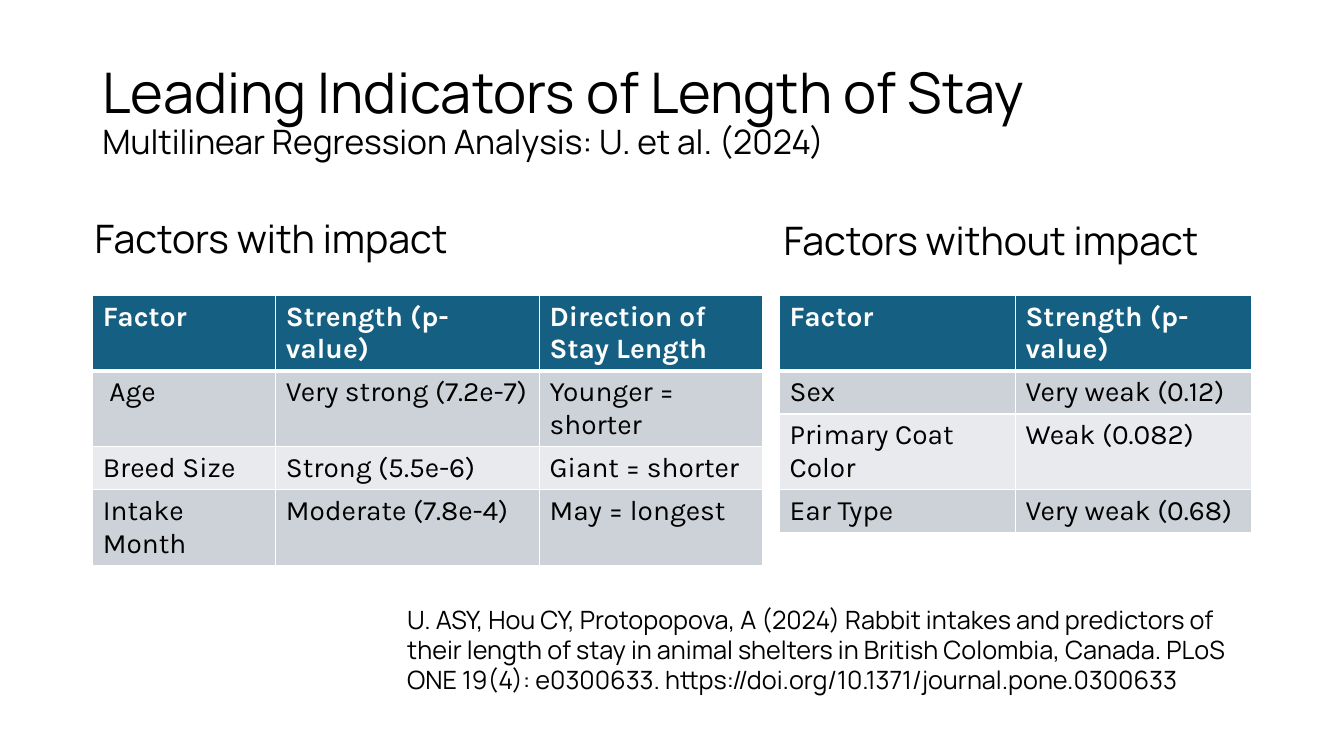
from lxml.etree import SubElement
from pptx import Presentation
from pptx.dml.color import RGBColor
from pptx.enum.text import MSO_ANCHOR as Anchor, MSO_AUTO_SIZE as AutoSize
from pptx.oxml.ns import qn
from pptx.util import Inches, Pt

BLACK = RGBColor(0x00, 0x00, 0x00)
WHITE = RGBColor(0xFF, 0xFF, 0xFF)
TEAL = RGBColor(0x15, 0x60, 0x82)
BAND_DARK = RGBColor(0xCC, 0xD2, 0xD8)
BAND_LIGHT = RGBColor(0xE8, 0xEA, 0xED)

SLIDE_WIDTH, SLIDE_HEIGHT = Inches(13.33), Inches(7.5)
COLUMNS, ROWS = 160, 90


class Page:
    text_font = "Manrope"
    table_font = "Karla"
    table_size = 20
    row_height = 4.92

    def __init__(self, deck):
        self.slide = deck.slides.add_slide(deck.slide_layouts[6])

    def across(self, columns):
        return round(SLIDE_WIDTH * columns / COLUMNS)

    def down(self, rows):
        return round(SLIDE_HEIGHT * rows / ROWS)

    def place(self, left, top, width, height):
        return self.across(left), self.down(top), self.across(width), self.down(height)

    def add_run(self, paragraph, words, font, size, color, bold=False):
        run = paragraph.add_run()
        run.text = words
        run.font.name = font
        run.font.size = Pt(size)
        run.font.color.rgb = color
        run.font.bold = bold

    def add_text(self, area, lines, anchor=Anchor.TOP, spacing=None, grow=True):
        frame = self.slide.shapes.add_textbox(*self.place(*area)).text_frame
        frame.word_wrap = True
        frame.auto_size = AutoSize.SHAPE_TO_FIT_TEXT if grow else AutoSize.NONE
        frame.vertical_anchor = anchor
        paragraph = frame.paragraphs[0]
        paragraph.line_spacing = spacing
        for index, (words, size) in enumerate(lines):
            if index:
                paragraph.add_line_break()
            self.add_run(paragraph, words, self.text_font, size, BLACK)

    def add_borders(self, cell, below):
        properties = cell._tc.get_or_add_tcPr()
        for side, points in (("L", 1), ("R", 1), ("T", 1), ("B", below)):
            line = SubElement(properties, qn(f"a:ln{side}"), w=str(Pt(points)))
            fill = SubElement(line, qn("a:solidFill"))
            SubElement(fill, qn("a:srgbClr"), val=str(WHITE))

    def add_table(self, left, top, widths, records):
        area = self.place(left, top, sum(widths), self.row_height * len(records))
        table = self.slide.shapes.add_table(len(records), len(widths), *area).table
        for column, width in zip(table.columns, widths):
            column.width = self.across(width)
        for index, record in enumerate(records):
            header = index == 0
            band = TEAL if header else (BAND_LIGHT, BAND_DARK)[index % 2]
            for cell, words in zip(table.rows[index].cells, record):
                self.add_borders(cell, 3 if header else 1)
                cell.fill.solid()
                cell.fill.fore_color.rgb = band
                self.add_run(cell.text_frame.paragraphs[0], words, self.table_font,
                             self.table_size, WHITE if header else BLACK, header)


def main():
    deck = Presentation()
    deck.slide_width, deck.slide_height = SLIDE_WIDTH, SLIDE_HEIGHT
    page = Page(deck)

    page.add_text((11, 4.8, 138, 17.4),
                  [("Leading Indicators of Length of Stay", 40),
                   ("Multilinear Regression Analysis: U. et al. (2024)", 24)],
                  Anchor.MIDDLE, 0.9, grow=False)

    table_top = 35.16
    page.add_table(11.04, table_top, (21.8, 31.4, 26.5), [
        ("Factor", "Strength (p-value)", "Direction of Stay Length"),
        (" Age", "Very strong (7.2e-7)", "Younger = shorter"),
        ("Breed Size", "Strong (5.5e-6)", "Giant = shorter"),
        ("Intake Month", "Moderate (7.8e-4)", "May = longest"),
    ])
    page.add_table(92.8, table_top, (28.1, 28.1), [
        ("Factor", "Strength (p-value)"),
        ("Sex", "Very weak (0.12)"),
        ("Primary Coat Color", "Weak (0.082)"),
        ("Ear Type", "Very weak (0.68)"),
    ])

    for left, top, heading in ((10.1, 24.9, "Factors with impact"),
                               (92.1, 25.2, "Factors without impact")):
        page.add_text((left, top, 79.7, 6.9), [(heading, 28)])

    citation = ("U. ASY, Hou CY, Protopopova, A (2024) Rabbit intakes and predictors of "
                "their length of stay in animal shelters in British Colombia, Canada. "
                "PLoS ONE 19(4): e0300633. https://doi.org/10.1371/journal.pone.0300633")
    page.add_text((47.3, 71.3, 103.1, 12.1), [(citation, 18)])

    deck.save("out.pptx")


if __name__ == "__main__":
    main()
